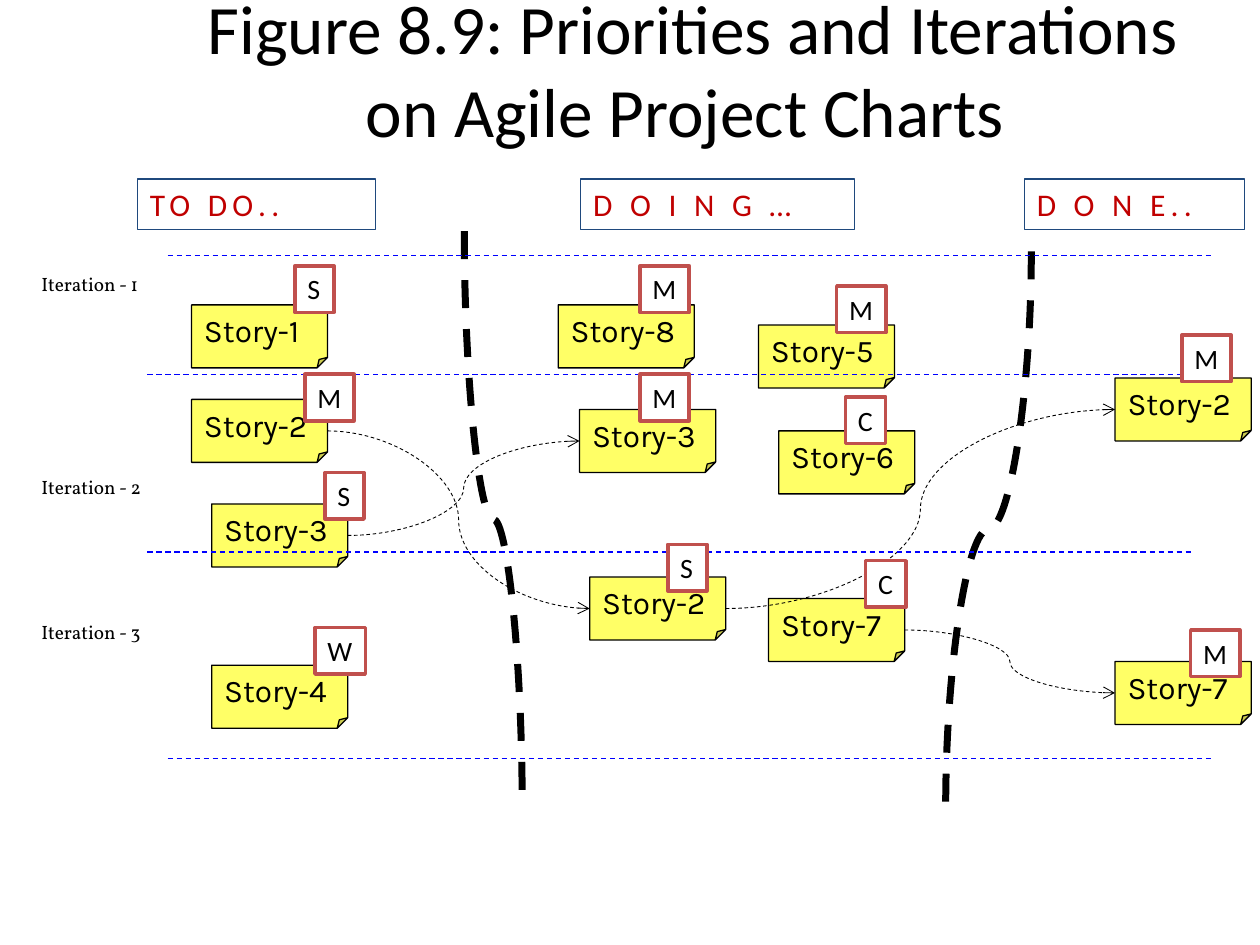
import pptx
import pptx.util
import pptx.dml.color
import pptx.enum.dml
import pptx.enum.shapes
import pptx.enum.text
import pptx.oxml.ns
import lxml.etree

Inches = pptx.util.Inches
SHAPE = pptx.enum.shapes.MSO_SHAPE
CONNECTOR = pptx.enum.shapes.MSO_CONNECTOR
rgb = pptx.dml.color.RGBColor.from_string
qn = pptx.oxml.ns.qn

deck = pptx.Presentation()
deck.slide_width, deck.slide_height = Inches(10), Inches(7.5)
slide = deck.slides.add_slide(deck.slide_layouts[6])


def add_label(text, x, y, w, h, size, font, color="000000", kind=None,
              fill=None, line=None, width=0.75, wrap=True):
    """Add a text box, or a shape of the given kind, with one run of text."""
    box = (Inches(x), Inches(y), Inches(w), Inches(h))
    if kind is None:
        label = slide.shapes.add_textbox(*box)
    else:
        label = slide.shapes.add_shape(kind, *box)
        label.shadow.inherit = False
        if fill:
            label.fill.solid()
            label.fill.fore_color.rgb = rgb(fill)
        else:
            label.fill.background()
        label.line.color.rgb = rgb(line)
        label.line.width = pptx.util.Pt(width)
    frame = label.text_frame
    frame.word_wrap = wrap
    frame.vertical_anchor = pptx.enum.text.MSO_ANCHOR.TOP
    frame.paragraphs[0].alignment = pptx.enum.text.PP_ALIGN.LEFT
    run = frame.paragraphs[0].add_run()
    run.text = text
    run.font.size = pptx.util.Pt(size)
    run.font.name = font
    run.font.color.rgb = rgb(color)
    return label


def add_dashed(kind, x1, y1, x2, y2, color, width):
    dashed = slide.shapes.add_connector(kind, Inches(x1), Inches(y1), Inches(x2), Inches(y2))
    dashed.line.color.rgb = rgb(color)
    dashed.line.width = pptx.util.Pt(width)
    dashed.line.dash_style = pptx.enum.dml.MSO_LINE.DASH
    lxml.etree.SubElement(dashed._element.spPr, qn("a:effectLst"))
    return dashed


title = add_label("Figure 8.9: Priorities and Iterations on Agile Project Charts ",
                  1.25, 0.08, 8.5, 0.92, 39.6, "Calibri")
title.text_frame.vertical_anchor = pptx.enum.text.MSO_ANCHOR.MIDDLE
title.text_frame.paragraphs[0].alignment = pptx.enum.text.PP_ALIGN.CENTER

# Column dividers: S-curves turned upright
for x1, y1, x2, y2, turn in [(6.2, 3.89, 1.63, 4.35, 270), (5.64, 3.86, 10.05, 4.54, 90)]:
    divider = add_dashed(CONNECTOR.CURVE, x1, y1, x2, y2, "000000", 4)
    divider._element.spPr.find(qn("a:xfrm")).set("rot", str(turn * 60000))

for heading, x, w in [("TO DO..", 1.09, 1.89), ("D O I N G …", 4.61, 2.17), ("D O N E..", 8.13, 1.75)]:
    column = add_label(heading, x, 1.42, w, 0.4, 18, "Calibri", "C00000",
                       SHAPE.RECTANGLE, line="1F497D")
    column.text_frame.paragraphs[0].runs[0]._r.get_or_add_rPr().set("spc", "300")

# Column, story number, left, top, priority, left and top of the priority
stories = [
    ("todo", 1, 1.52, 2.42, "S", 2.34, 2.11),
    ("todo", 2, 1.52, 3.17, "M", 2.42, 2.97),
    ("todo", 3, 1.68, 4, "S", 2.58, 3.75),
    ("todo", 4, 1.68, 5.28, "W", 2.5, 4.98),
    ("doing", 8, 4.43, 2.42, "M", 5.08, 2.11),
    ("doing", 3, 4.6, 3.25, "M", 5.08, 2.97),
    ("doing", 5, 6.02, 2.58, "M", 6.64, 2.27),
    ("doing", 6, 6.18, 3.42, "C", 6.71, 3.15),
    ("doing", 2, 4.68, 4.58, "S", 5.3, 4.32),
    ("doing", 7, 6.1, 4.75, "C", 6.87, 4.45),
    ("done", 2, 8.85, 3, "M", 9.38, 2.66),
    ("done", 7, 8.85, 5.25, "M", 9.45, 5),
]
notes = {}
for column, number, x, y, *_ in stories:
    notes[column, number] = add_label(f"Story-{number}", x, y, 1.08, 0.5, 18, "Karla",
                                      kind=SHAPE.FOLDED_CORNER, fill="FFFF66", line="000000")

moves = [("todo", "doing", 2), ("doing", "done", 2), ("todo", "doing", 3), ("doing", "done", 7)]
for start, end, number in moves:
    move = add_dashed(CONNECTOR.CURVE, 0, 0, 1, 1, "000000", 0.5)
    move.begin_connect(notes[start, number], 3)
    move.end_connect(notes[end, number], 1)
    lxml.etree.SubElement(move.line._get_or_add_ln(), qn("a:tailEnd"), type="arrow")

for iteration, y in enumerate([2.11, 3.72, 4.87], start=1):
    add_label(f"Iteration - {iteration}", 0.23, y, 0.99, 0.29, 11, "Vollkorn", wrap=False)

for x, y in [(1.33, 2.03), (1.17, 2.97), (1.17, 4.38), (1.33, 6.02)]:
    add_dashed(CONNECTOR.STRAIGHT, x, y, x + 8.28, y, "0000FF", 0.75)

priority_widths = {"M": 0.39, "S": 0.31, "C": 0.32, "W": 0.4}
for *_, priority, x, y in stories:
    add_label(priority, x, y, priority_widths[priority], 0.37, 16, "Calibri",
              kind=SHAPE.RECTANGLE, fill="FFFFFF", line="C0504D", width=2, wrap=False)

deck.save("out.pptx")
